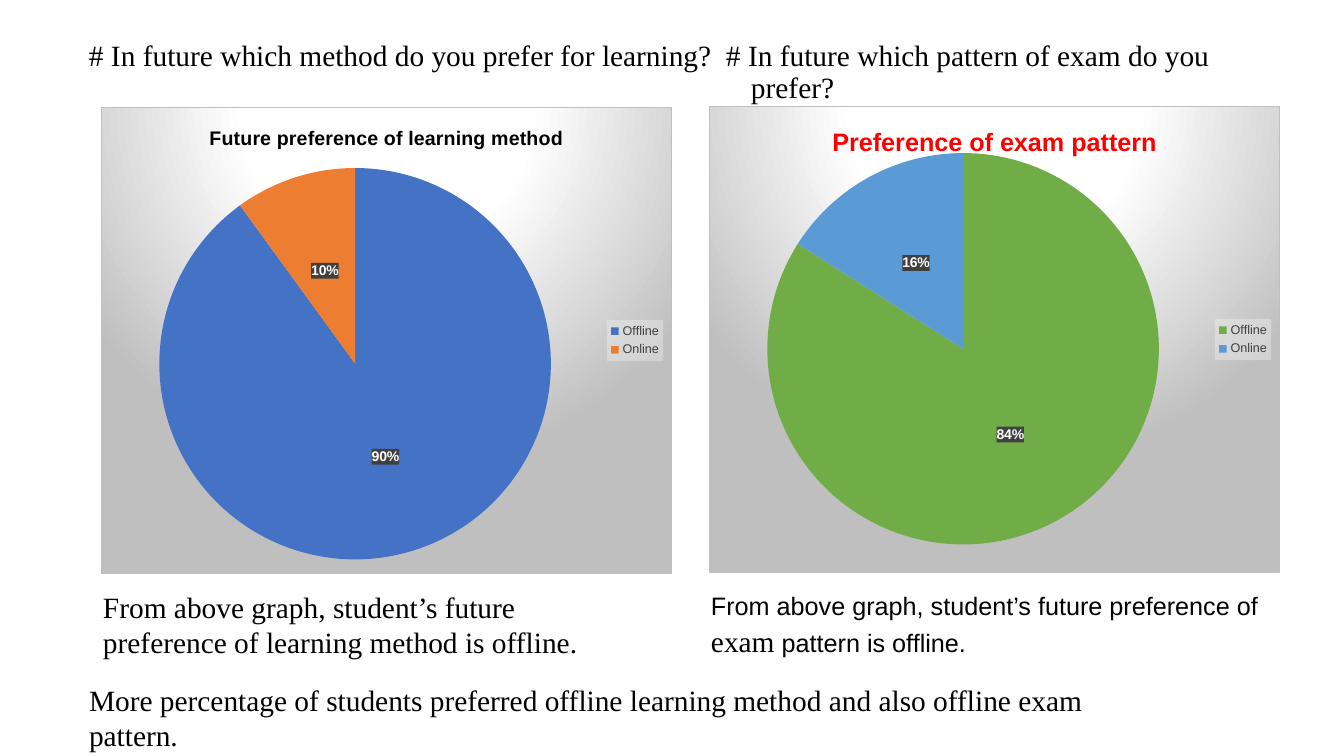
from dataclasses import dataclass

from lxml.etree import fromstring
from pptx import Presentation
from pptx.chart.data import CategoryChartData
from pptx.dml.color import RGBColor
from pptx.enum.chart import XL_CHART_TYPE, XL_LABEL_POSITION, XL_LEGEND_POSITION
from pptx.oxml.ns import nsdecls, qn
from pptx.util import Pt


@dataclass(frozen=True)
class Theme:
    """Colours, fonts and type sizes of the slide."""

    serif: str = "Times New Roman"
    sans: str = "Arial"
    text: str = "000000"
    accent: str = "FF0000"
    muted: str = "404040"
    white: str = "FFFFFF"
    silver: str = "BFBFBF"
    pale: str = "F2F2F2"
    blue: str = "4472C4"
    orange: str = "ED7D31"
    green: str = "70AD47"
    sky: str = "5B9BD5"
    body: int = 21
    caption: int = 18
    small_title: int = 14
    label: int = 10
    legend: int = 9


THEME = Theme()
SERIF_RUN = (THEME.serif, THEME.body)
SANS_RUN = (THEME.sans, THEME.caption)


def px(length):
    """Turn pixels at 100.8 to the inch into EMU."""
    return round(length * 914400 / 100.8)


def style_font(font, name, size, color, bold=False):
    """Set the face, size, colour and weight of a font."""
    font.name = name
    font.size = Pt(size)
    font.bold = bold
    font.color.rgb = RGBColor.from_string(color)


def add_text(slide, box, runs, line_spacing=1.0, hanging=0):
    """Place one paragraph of styled runs in a box without margins."""
    shape = slide.shapes.add_textbox(*map(px, box))
    frame = shape.text_frame
    frame.word_wrap = True
    frame.margin_left = frame.margin_right = 0
    frame.margin_top = frame.margin_bottom = 0
    paragraph = frame.paragraphs[0]
    paragraph.line_spacing = line_spacing
    if hanging:
        properties = paragraph._p.get_or_add_pPr()
        properties.set("marL", str(px(hanging)))
        properties.set("indent", str(-px(hanging)))
    for text, (name, size) in runs:
        run = paragraph.add_run()
        run.text = text
        style_font(run.font, name, size, THEME.text)


def set_area(element, fill):
    """Give a chart part its area formatting, ahead of its text properties."""
    area = fromstring(f'<c:spPr {nsdecls("c", "a")}>{fill}</c:spPr>')
    element.find(qn("c:txPr")).addprevious(area)


def solid(color, alpha):
    """Describe a solid fill with an opacity in percent."""
    return (f'<a:solidFill><a:srgbClr val="{color}">'
            f'<a:alpha val="{alpha * 1000}"/></a:srgbClr></a:solidFill>')


def spotlight():
    """Describe the radial background and border of a chart."""
    stops = "".join(
        f'<a:gs pos="{position * 1000}"><a:srgbClr val="{color}"/></a:gs>'
        for position, color in ((0, THEME.white), (39, THEME.white), (100, THEME.silver))
    )
    return (f'<a:gradFill><a:gsLst>{stops}</a:gsLst><a:path path="circle">'
            '<a:fillToRect l="50000" t="-80000" r="50000" b="180000"/></a:path></a:gradFill>'
            f'<a:ln w="9525"><a:solidFill><a:srgbClr val="{THEME.silver}"/></a:solidFill></a:ln>')


def set_plot_layout(chart, plot_box):
    """Fix the inner plot area as fractions of the chart."""
    plot_area = chart._chartSpace.chart.plotArea
    for layout in plot_area.findall(qn("c:layout")):
        plot_area.remove(layout)
    sizes = "".join(f'<c:{tag} val="{value}"/>' for tag, value in zip("xywh", plot_box))
    plot_area.insert(0, fromstring(
        f'<c:layout {nsdecls("c")}><c:manualLayout><c:layoutTarget val="inner"/>'
        f'<c:xMode val="edge"/><c:yMode val="edge"/>{sizes}</c:manualLayout></c:layout>'))


def add_pie(slide, box, title, title_style, values, colors, plot_box):
    """Place a pie chart of offline against online in a box."""
    data = CategoryChartData()
    data.categories = ["Offline", "Online"]
    data.add_series("Series 1", values)
    chart = slide.shapes.add_chart(XL_CHART_TYPE.PIE, *map(px, box), data).chart
    style_font(chart.font, THEME.sans, THEME.label, THEME.text)
    set_area(chart._chartSpace, spotlight())
    set_plot_layout(chart, plot_box)

    chart.has_title = True
    run = chart.chart_title.text_frame.paragraphs[0].add_run()
    run.text = title
    style_font(run.font, THEME.sans, *title_style, bold=True)

    chart.has_legend = True
    legend = chart.legend
    legend.position = XL_LEGEND_POSITION.RIGHT
    legend.include_in_layout = False
    style_font(legend.font, THEME.sans, THEME.legend, THEME.muted)
    set_area(legend._element, solid(THEME.pale, 39))

    plot = chart.plots[0]
    plot.vary_by_categories = True
    plot.has_data_labels = True
    labels = plot.data_labels
    labels.show_percentage = True
    labels.show_value = False
    labels.number_format = "0%"
    labels.number_format_is_linked = False
    labels.position = XL_LABEL_POSITION.CENTER
    style_font(labels.font, THEME.sans, THEME.label, THEME.white, bold=True)
    set_area(labels._element, solid(THEME.muted, 90))
    for index, color in enumerate(colors):
        point_format = plot.series[0].points[index].format
        point_format.fill.solid()
        point_format.fill.fore_color.rgb = RGBColor.from_string(color)
        point_format.line.fill.background()


def add_learning_column(slide, left, top):
    """Place the learning method question, chart and finding."""
    add_text(slide, (left - 12, top - 66, 634, 62),
             [("# In future which method do you prefer for learning?", SERIF_RUN)], 0.9)
    add_pie(slide, (left, top, 571, 467), "Future preference of learning method",
            (THEME.small_title, THEME.text), (90, 10), (THEME.blue, THEME.orange),
            (0.1, 0.13, 0.69, 0.84))
    add_text(slide, (left + 2, top + 482, 538, 72),
             [("From above graph, student’s future preference of learning method is offline.",
               SERIF_RUN)])


def add_exam_column(slide, left, top):
    """Place the exam pattern question, chart and finding."""
    add_text(slide, (left + 17, top - 65, 550, 62),
             [("# In future which pattern of exam do you prefer?", SERIF_RUN)], 0.9, hanging=25)
    add_pie(slide, (left, top, 571, 467), "Preference of exam pattern",
            (THEME.caption, THEME.accent), (84, 16), (THEME.green, THEME.sky),
            (0.03, 0.1, 0.83, 0.84))
    add_text(slide, (left + 2, top + 482, 582, 76),
             [("From above graph, student’s future preference of ", SANS_RUN),
              ("exam", SERIF_RUN), (" pattern is offline.", SANS_RUN)], 1.07)


def add_conclusion(slide, box):
    """Place the overall finding."""
    add_text(slide, box, [("More percentage of students preferred offline learning method "
                           "and also offline exam pattern.", SERIF_RUN)])


def main():
    """Build and save the slide."""
    presentation = Presentation()
    presentation.slide_width = px(1344)
    presentation.slide_height = px(756)
    slide = presentation.slides.add_slide(presentation.slide_layouts[6])
    add_learning_column(slide, 101, 107)
    add_exam_column(slide, 709, 106)
    add_conclusion(slide, (89, 682, 1087, 72))
    presentation.save("out.pptx")


if __name__ == "__main__":
    main()
